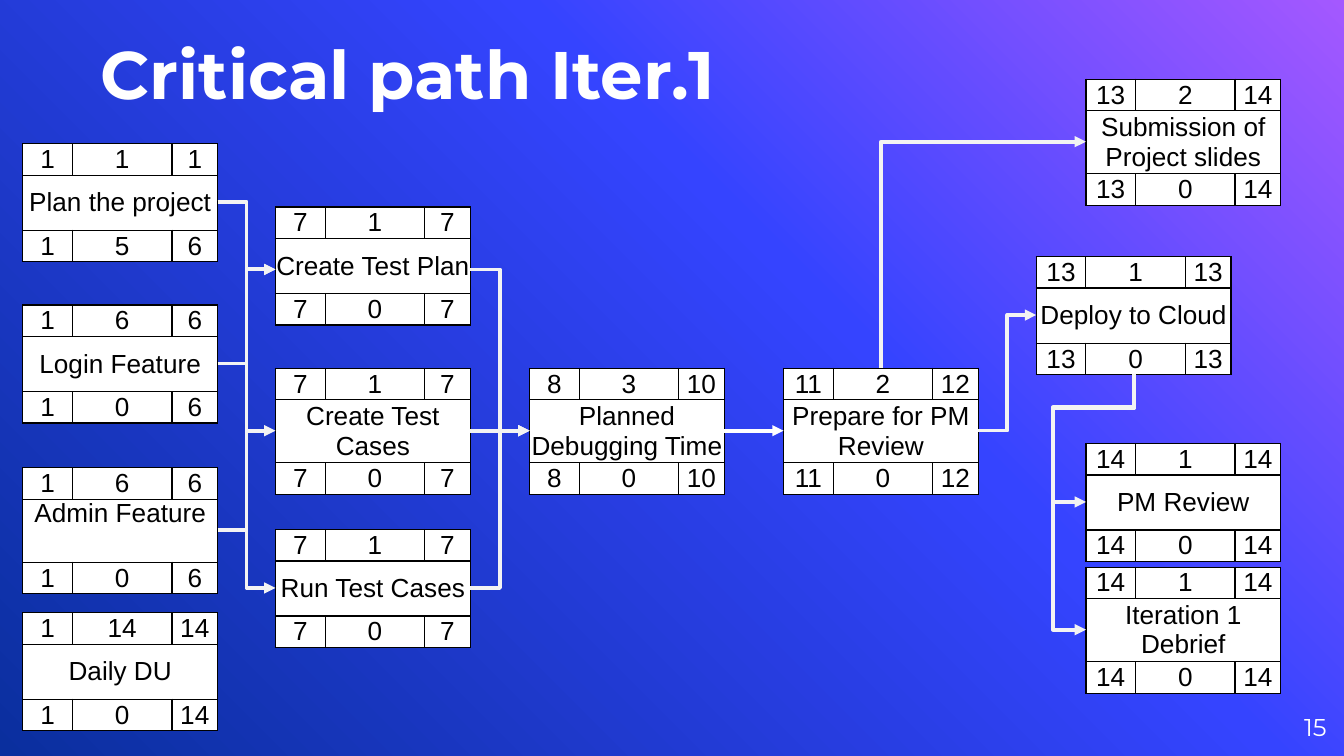
"""Build a critical path slide: task tables joined by elbow arrows."""
from copy import deepcopy

from lxml import etree
from pptx import Presentation
from pptx.dml.color import RGBColor
from pptx.enum.shapes import MSO_CONNECTOR
from pptx.enum.text import MSO_ANCHOR, PP_ALIGN
from pptx.oxml.ns import qn
from pptx.util import Inches, Pt

ELBOW, STRAIGHT = MSO_CONNECTOR.ELBOW, MSO_CONNECTOR.STRAIGHT
TOP, MIDDLE = MSO_ANCHOR.TOP, MSO_ANCHOR.MIDDLE
LEFT, CENTER, RIGHT = PP_ALIGN.LEFT, PP_ALIGN.CENTER, PP_ALIGN.RIGHT

SLIDE_WIDTH = 10
SLIDE_HEIGHT = SLIDE_WIDTH * 9 / 16

COLORS = {"white": "FFFFFF", "black": "000000", "arrow": "F3F3F3"}
BACKGROUND = [(0, "A458FF"), (0.39, "3544FF"), (1, "0A2F9E")]
BACKGROUND_ANGLE = 225

LABELS = [
    ("15", (9.27, 5.19, 0.6, 0.43), 13, False, RIGHT, MIDDLE),
    ("Critical path Iter.1", (0.75, 0.24, 5.17, 0.69), 36, True, LEFT, TOP),
]

COLUMNS = (0.37, 0.74, 0.34)
WIDTH = sum(COLUMNS)
EDGE_ROW = 0.23
SHORT, TALL = 0.41, 0.47

TASKS = {
    "Plan the project": (0.17, 1.07, SHORT, "1 1 1", "1 5 6"),
    "Login Feature": (0.17, 2.27, SHORT, "1 6 6", "1 0 6"),
    "Admin Feature": (0.17, 3.48, TALL, "1 6 6", "1 0 6"),
    "Daily DU": (0.17, 4.56, SHORT, "1 14 14", "1 0 14"),
    "Create Test Plan": (2.05, 1.54, SHORT, "7 1 7", "7 0 7"),
    "Create Test Cases": (2.05, 2.74, TALL, "7 1 7", "7 0 7"),
    "Run Test Cases": (2.05, 3.94, SHORT, "7 1 7", "7 0 7"),
    "Planned Debugging Time": (3.94, 2.74, TALL, "8 3 10", "8 0 10"),
    "Prepare for PM Review": (5.83, 2.74, TALL, "11 2 12", "11 0 12"),
    "Deploy to Cloud": (7.71, 1.91, SHORT, "13 1 13", "13 0 13"),
    "Submission of Project slides": (8.08, 0.59, TALL, "13 2 14", "13 0 14"),
    "PM Review": (8.08, 3.3, SHORT, "14 1 14", "14 0 14"),
    "Iteration 1 Debrief": (8.08, 4.22, TALL, "14 1 14", "14 0 14"),
}
TOP_ALIGNED = {"Admin Feature"}
TALL_FRAMES = {"Create Test Plan"}

SIDEWAYS_LINKS = [
    ("Plan the project", "Create Test Plan"),
    ("Plan the project", "Create Test Cases"),
    ("Login Feature", "Run Test Cases"),
    ("Admin Feature", "Create Test Plan"),
    ("Create Test Plan", "Planned Debugging Time"),
    ("Run Test Cases", "Planned Debugging Time"),
    ("Create Test Cases", "Planned Debugging Time"),
    ("Prepare for PM Review", "Deploy to Cloud"),
]
VERTICAL_LINKS = [
    ("Prepare for PM Review", "top", "Submission of Project slides", "bentConnector2", ()),
    ("Deploy to Cloud", "bottom", "PM Review", "bentConnector4", (27200, 169200)),
    ("Deploy to Cloud", "bottom", "Iteration 1 Debrief", "bentConnector4", (13200, 169200)),
]
STRAIGHT_LINK = ("Planned Debugging Time", "Prepare for PM Review")


def rgb(name):
    return RGBColor.from_string(COLORS[name])


def style_text(paragraph, size, font, color, align, bold=False):
    paragraph.alignment = align
    for run in paragraph.runs:
        run.font.size, run.font.name, run.font.bold = Pt(size), font, bold
        run.font.color.rgb = rgb(color)


def paint_background(slide):
    fill = slide.background.fill
    fill.gradient()
    fill.gradient_angle = BACKGROUND_ANGLE
    stop_list = slide.element.find(".//" + qn("a:gsLst"))
    stop_list.append(deepcopy(stop_list[0]))
    for stop, (position, color) in zip(fill.gradient_stops, BACKGROUND):
        stop.position = position
        stop.color.rgb = RGBColor.from_string(color)


def add_label(slide, text, box, size, bold, align, anchor):
    frame = slide.shapes.add_textbox(*map(Inches, box)).text_frame
    frame.word_wrap = True
    frame.vertical_anchor = anchor
    frame.margin_left = frame.margin_right = frame.margin_top = frame.margin_bottom = 0
    frame.text = text
    style_text(frame.paragraphs[0], size, "Montserrat", "white", align, bold)


def style_cell(cell, anchor):
    cell.margin_left = cell.margin_right = cell.margin_top = cell.margin_bottom = 0
    cell.vertical_anchor = anchor
    cell.fill.solid()
    cell.fill.fore_color.rgb = rgb("white")
    properties = cell._tc.get_or_add_tcPr()
    for index, side in enumerate(("lnL", "lnR", "lnT", "lnB")):
        border = etree.Element(qn("a:" + side), w=str(Pt(0.75)))
        solid = etree.SubElement(border, qn("a:solidFill"))
        etree.SubElement(solid, qn("a:srgbClr"), val=COLORS["black"])
        properties.insert(index, border)
    style_text(cell.text_frame.paragraphs[0], 14, "Arial", "black", CENTER)


def frame_height(name):
    middle = TALL if name in TALL_FRAMES else TASKS[name][2]
    return middle + 2 * EDGE_ROW


def add_task(slide, name):
    left, top, middle, early, late = TASKS[name]
    box = (left, top, WIDTH, frame_height(name))
    frame = slide.shapes.add_table(3, 3, *map(Inches, box))
    table = frame.table
    table.first_row = table.horz_banding = False
    for column, width in zip(table.columns, COLUMNS):
        column.width = Inches(width)
    for row, height in zip(table.rows, (EDGE_ROW, middle, EDGE_ROW)):
        row.height = Inches(height)
    table.cell(1, 0).merge(table.cell(1, 2))
    for row, texts in enumerate((early.split(), [name], late.split())):
        for column, text in enumerate(texts):
            table.cell(row, column).text = text
    for cell in table.iter_cells():
        style_cell(cell, MIDDLE)
    if name in TOP_ALIGNED:
        table.cell(1, 0).vertical_anchor = TOP
    return frame


def port(name, side):
    left, top = TASKS[name][:2]
    height = frame_height(name)
    return {
        "left": (left, top + height / 2),
        "right": (left + WIDTH, top + height / 2),
        "top": (left + WIDTH / 2, top),
        "bottom": (left + WIDTH / 2, top + height),
    }[side]


def add_arrow(slide, kind, start, end, color="arrow"):
    arrow = slide.shapes.add_connector(kind, *map(Inches, (*start, *end)))
    arrow.line.width = Pt(2)
    arrow.line.color.rgb = rgb(color)
    etree.SubElement(arrow.line._get_or_add_ln(), qn("a:tailEnd"), type="triangle")
    etree.SubElement(arrow._element.spPr, qn("a:effectLst"))
    return arrow


def add_vertical_arrow(slide, start, end, preset, adjustments):
    center_x, center_y = (start[0] + end[0]) / 2, (start[1] + end[1]) / 2
    turned = [(center_x + y - center_y, center_y - x + center_x) for x, y in (start, end)]
    properties = add_arrow(slide, ELBOW, *turned)._element.spPr
    properties.find(qn("a:xfrm")).set("rot", str(90 * 60000))
    geometry = properties.find(qn("a:prstGeom"))
    geometry.set("prst", preset)
    for number, value in enumerate(adjustments, 1):
        etree.SubElement(geometry.find(qn("a:avLst")), qn("a:gd"),
                         name=f"adj{number}", fmla=f"val {value}")


def main():
    deck = Presentation()
    deck.slide_width, deck.slide_height = Inches(SLIDE_WIDTH), Inches(SLIDE_HEIGHT)
    slide = deck.slides.add_slide(deck.slide_layouts[6])
    paint_background(slide)
    for label in LABELS:
        add_label(slide, *label)
    frames = {name: add_task(slide, name) for name in TASKS}
    for source, target in SIDEWAYS_LINKS:
        add_arrow(slide, ELBOW, port(source, "right"), port(target, "left"))
    for source, side, target, preset, adjustments in VERTICAL_LINKS:
        add_vertical_arrow(slide, port(source, side), port(target, "left"), preset, adjustments)
    source, target = STRAIGHT_LINK
    arrow = add_arrow(slide, STRAIGHT, port(source, "right"), port(target, "left"), "white")
    arrow.begin_connect(frames[source], 3)
    arrow.end_connect(frames[target], 1)
    deck.save("out.pptx")


if __name__ == "__main__":
    main()
